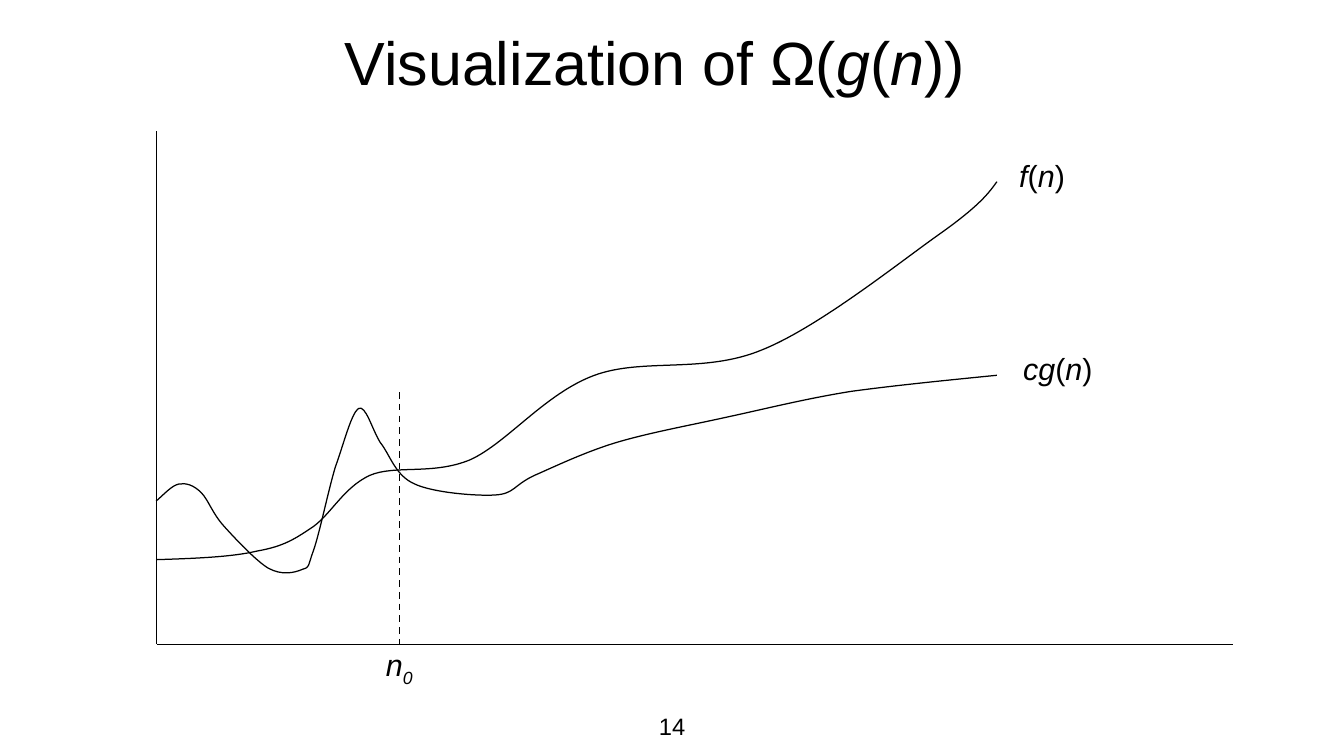
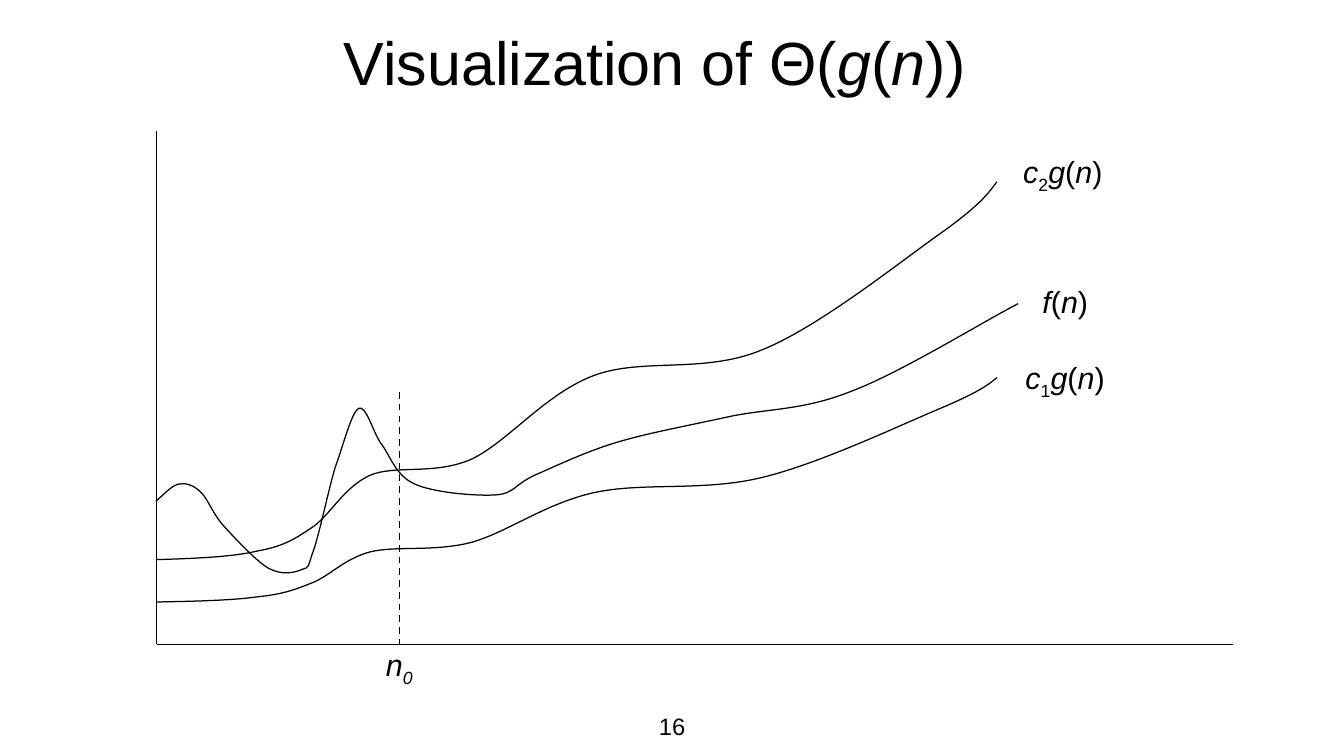
from pptx import Presentation
from pptx.dml.color import RGBColor
from pptx.enum import dml, shapes, text
from pptx.oxml import ns, xmlchemy
from pptx.util import Pt

INK = RGBColor(0, 0, 0)
PAPER = RGBColor(255, 255, 255)
FONT = "Arial"
WIDE, HIGH = 793.5, 446.4
LEFT, RIGHT, TOP, BASE = 92.5, 727.7, 77.6, 380.4
CUT, CUT_TOP = 235.9, 231.5

# Curves: a start point, then two control points and an end point per bend.
RISE = [
    (92.2, 330.5),
    (114.5, 329.8), (136.8, 329), (151.9, 325.4),
    (167.8, 322.6), (174.2, 318.2), (185, 311),
    (195.8, 303.1), (203, 288), (218.2, 280.8),
    (233.3, 274.3), (255.6, 280.8), (277.9, 271.4),
    (299.5, 261.4), (321.8, 232.6), (350.6, 221.8),
    (379.4, 211), (415.4, 221), (450, 206.6),
    (483.8, 193), (532.1, 154.1), (555.8, 137.5),
    (578.9, 121), (583.9, 113.8), (588.6, 107.3),
]
WAVE = [
    (92.2, 295.9),
    (97.2, 291.6), (101.5, 286.6), (105.8, 285.8),
    (110.2, 285.1), (114.5, 286.6), (118.8, 290.9),
    (123.1, 295.2), (125.3, 303.1), (132.5, 311),
    (139, 318.2), (151.2, 331.2), (158.4, 335.5),
    (166.3, 339.8), (173.5, 338.4), (178.6, 336.2),
    (182.9, 334.8), (181.4, 335.5), (185, 325.4),
    (188.6, 315.4), (193.7, 290.2), (198, 275.8),
    (203, 262.1), (207.4, 244.1), (211.7, 241.2),
    (216, 239), (219.6, 253.4), (224.6, 261.4),
    (230.4, 268.6), (233.3, 280.8), (244.8, 285.8),
    (255.6, 290.9), (280.8, 293), (292.3, 292.3),
    (303.8, 291.6), (303.1, 286.6), (315.4, 280.8),
    (326.9, 275.8), (344.9, 267.1), (363.6, 261.4),
    (383, 255.6), (406.8, 251.3), (429.8, 246.2),
]
FLAT_END = [
    (452.9, 241.2), (475.9, 235.4), (502.6, 231.1),
    (529.2, 227.5), (558.7, 224.6), (588.6, 221.6),
]
STEEP_END = [
    (452.9, 241.2), (473.8, 242.6), (502.6, 231.1),
    (531.4, 220.3), (580.3, 190.1), (601.2, 179.3),
]
LOW_TOP, LOW_SCALE = 223, 1.84 / 3.1
LOW_RISE = [(x, LOW_TOP + (y - RISE[-1][1]) * LOW_SCALE) for x, y in RISE]

# Runs are (text, style): i is italic, s is subscript.
OF_N = [("(", ""), ("n", "i"), (")", "")]
F_N = [("f", "i")] + OF_N


def c_g(digit):
    return [("c", "i"), (digit, "s"), ("g", "i")] + OF_N


def add_text(slide, box, runs, size, wrap=True):
    shape = slide.shapes.add_textbox(*map(Pt, box))
    frame = shape.text_frame
    frame.word_wrap = wrap
    para = frame.paragraphs[0]
    if wrap:
        para.alignment = text.PP_ALIGN.CENTER
    else:
        frame.auto_size = text.MSO_AUTO_SIZE.SHAPE_TO_FIT_TEXT
    for words, style in runs:
        run = para.add_run()
        run.text = words
        font = run.font
        font.name, font.size, font.italic = FONT, Pt(size), "i" in style
        font.color.rgb = INK
        if "s" in style:
            run._r.get_or_add_rPr().set("baseline", "-25000")
    return frame


def add_label(slide, left, top, width, runs):
    add_text(slide, (left, top, width, 29), runs, 18, wrap=False)


def add_line(slide, start, end, width=0.75, dash=None):
    line = slide.shapes.add_connector(
        shapes.MSO_CONNECTOR.STRAIGHT, *map(Pt, start + end))
    line.line.color.rgb = INK
    line.line.width = Pt(width)
    if dash:
        line.line.dash_style = dash
    line._element.spPr.append(xmlchemy.OxmlElement("a:effectLst"))


def add_curve(slide, points):
    """Draw a freeform and turn each three segments into one Bezier bend."""
    first, *rest = [(Pt(x), Pt(y)) for x, y in points]
    build = slide.shapes.build_freeform(*first)
    build.add_line_segments(rest, close=False)
    shape = build.convert_to_shape()
    shape.fill.background()
    shape.line.color.rgb = INK
    shape.line.width = Pt(0.75)
    shape.shadow.inherit = False
    steps = list(shape._element.iter(ns.qn("a:lnTo")))
    for i in range(0, len(steps), 3):
        bend = xmlchemy.OxmlElement("a:cubicBezTo")
        steps[i].addprevious(bend)
        for step in steps[i:i + 3]:
            bend.append(step[0])
            step.getparent().remove(step)


def add_graph(deck, sign, page, curves, labels):
    slide = deck.slides.add_slide(deck.slide_layouts[6])
    slide.background.fill.solid()
    slide.background.fill.fore_color.rgb = PAPER
    add_text(slide, (271.2, 416.5, 251.3, 21), [(page, "")], 14)
    title = [(f"Visualization of {sign}(", ""), ("g", "i"), ("(", ""),
             ("n", "i"), ("))", "")]
    frame = add_text(slide, (29.5, 6.5, 714.2, 59), title, 36)
    frame.vertical_anchor = text.MSO_ANCHOR.MIDDLE
    add_line(slide, (LEFT, TOP), (LEFT, BASE))
    add_line(slide, (LEFT, BASE), (RIGHT, BASE))
    for curve in curves:
        add_curve(slide, curve)
    add_line(slide, (CUT, CUT_TOP), (CUT, BASE), 1, dml.MSO_LINE.DASH)
    add_label(slide, 220.8, 378, 30.2, [("n", "i"), ("0", "is")])
    for label in labels:
        add_label(slide, *label)


def main():
    deck = Presentation()
    deck.slide_width, deck.slide_height = Pt(WIDE), Pt(HIGH)
    add_graph(deck, "Ω", "14", [RISE, WAVE + FLAT_END], [
        (597, 203.4, 55.4, [("cg", "i")] + OF_N),
        (594.7, 89.3, 42, F_N),
    ])
    add_graph(deck, "Θ", "16", [RISE, WAVE + STEEP_END, LOW_RISE], [
        (597, 86.8, 61.2, c_g("2")),
        (608.4, 163.4, 42, F_N),
        (598.3, 208.4, 61.2, c_g("1")),
    ])
    deck.save("out.pptx")


if __name__ == "__main__":
    main()
